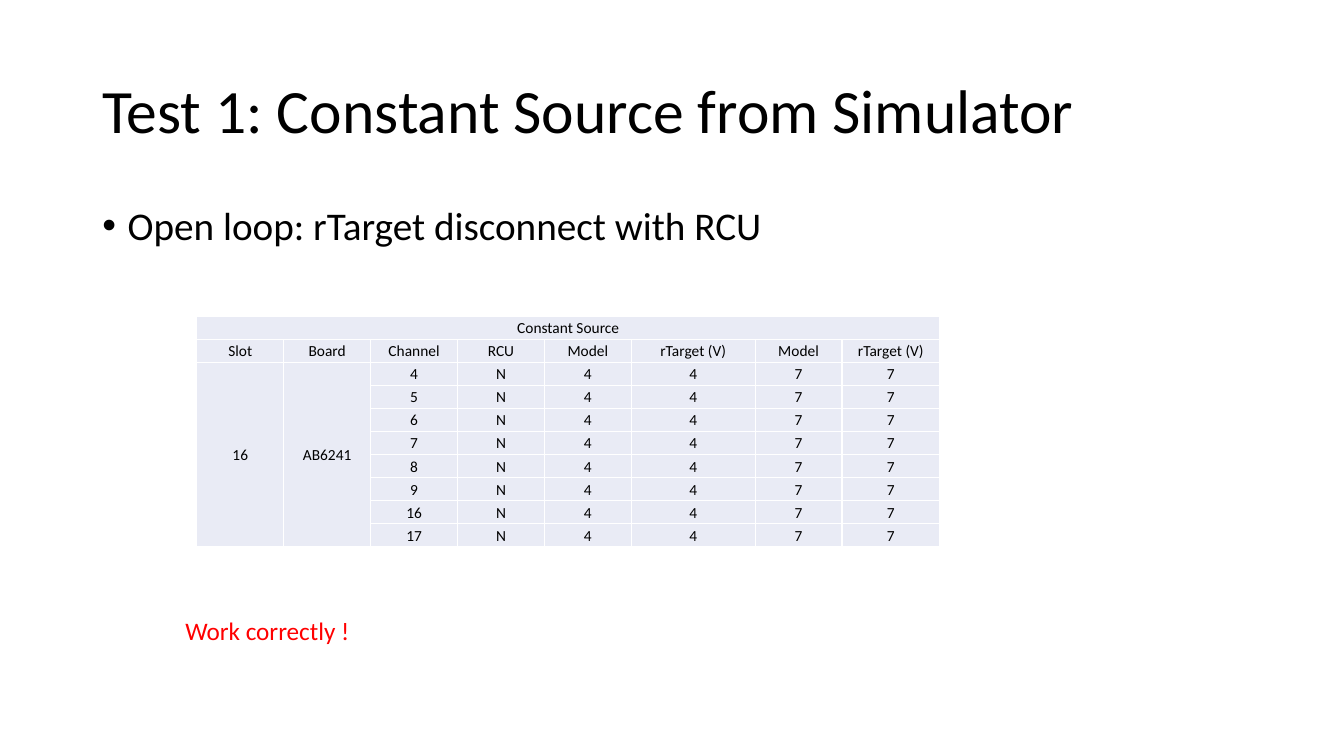
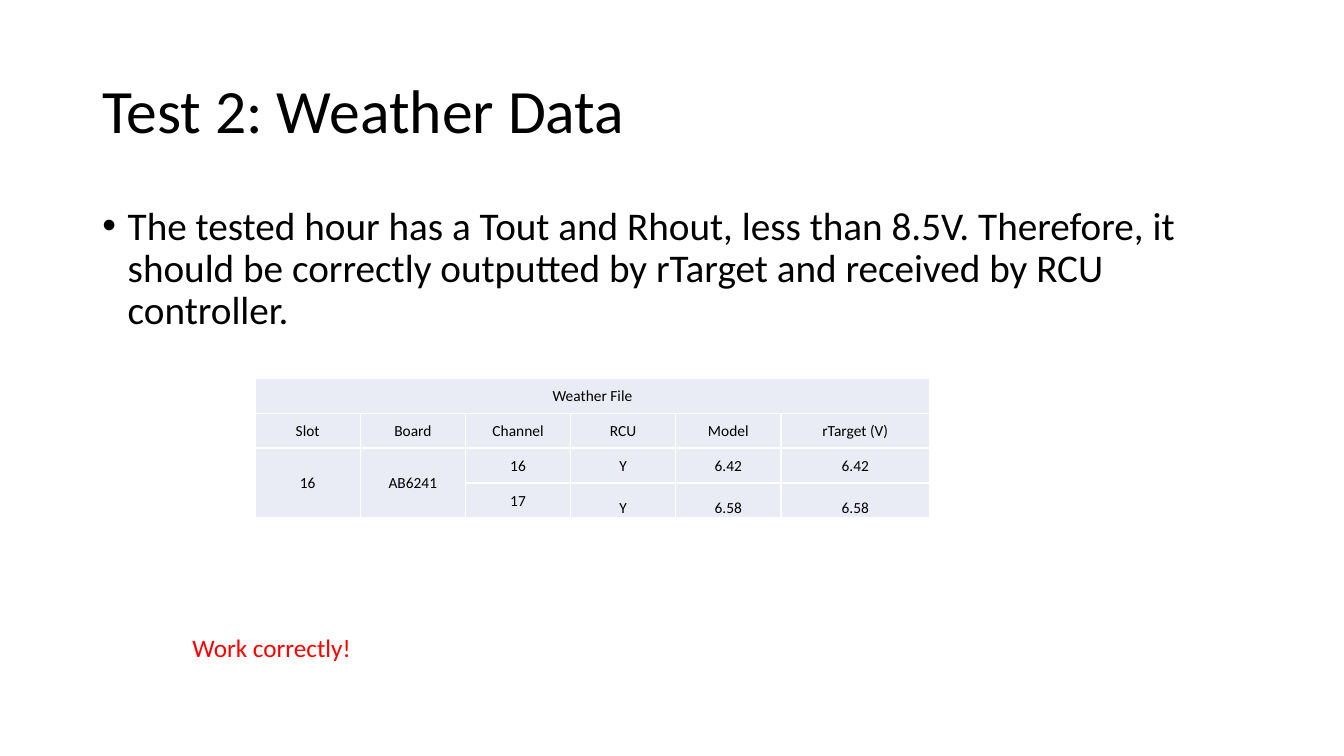
"""Builds two slides reporting the voltage tests of the output board."""
import lxml.etree
import pptx
import pptx.dml.color
import pptx.enum.text
import pptx.oxml
import pptx.oxml.ns
import pptx.util

Cm = pptx.util.Cm
Pt = pptx.util.Pt
ANCHOR = pptx.enum.text.MSO_ANCHOR
qn = pptx.oxml.ns.qn

FONT = "Calibri"
BLACK, RED, WHITE, CELL_FILL = "000000", "FF0000", "FFFFFF", "E9EBF5"


def color(hex_value):
    return pptx.dml.color.RGBColor.from_string(hex_value)


def add_run(paragraph, text, size, hex_value=BLACK):
    run = paragraph.add_run()
    run.text = text
    run.font.name = FONT
    run.font.size = Pt(size)
    run.font.color.rgb = color(hex_value)


channels = ["4", "5", "6", "7", "8", "9", "16", "17"]
tests = [
    {
        "title": "Test 1: Constant Source from Simulator",
        "bullet": "Open loop: rTarget disconnect with RCU",
        "body_height": 9.25,
        "caption": "Constant Source",
        "headings": ["Slot", "Board", "Channel", "RCU", "Model", "rTarget (V)", "Model", "rTarget (V)"],
        "readings": [[channel, "N", "4", "4", "7", "7"] for channel in channels],
        "table_at": (4.96, 7.98),
        "widths": [2.19] * 5 + [3.12, 2.19, 2.46],
        "row_height": 0.58,
        "low_cells": [],
        "verdict": "Work correctly !",
        "verdict_at": (4.42, 15.39, 5.36),
    },
    {
        "title": "Test 2: Weather Data",
        "bullet": "The tested hour has a Tout and Rhout, less than 8.5V. Therefore, it should be "
                  "correctly outputted by rTarget and received by RCU controller.",
        "body_height": 12.09,
        "caption": "Weather File",
        "headings": ["Slot", "Board", "Channel", "RCU", "Model", "rTarget (V)"],
        "readings": [["16", "Y", "6.42", "6.42"], ["17", "Y", "6.58", "6.58"]],
        "table_at": (6.43, 9.53),
        "widths": [2.65] * 5 + [3.75],
        "row_height": 0.88,
        "low_cells": [(3, 3), (3, 4), (3, 5)],
        "verdict": "Work correctly!",
        "verdict_at": (4.6, 15.82, 10.46),
    },
]

presentation = pptx.Presentation()
presentation.slide_width = Cm(33.87)
presentation.slide_height = Cm(19.05)

for test in tests:
    slide = presentation.slides.add_slide(presentation.slide_layouts[6])

    title = slide.shapes.add_textbox(Cm(2.33), Cm(1.01), Cm(29.21), Cm(3.68)).text_frame
    title.word_wrap = True
    title.vertical_anchor = ANCHOR.MIDDLE
    title.paragraphs[0].line_spacing = 0.9
    add_run(title.paragraphs[0], test["title"], 44)

    body = slide.shapes.add_textbox(Cm(2.33), Cm(5.07), Cm(29.21), Cm(test["body_height"])).text_frame
    body.word_wrap = True
    paragraph = body.paragraphs[0]
    paragraph.line_spacing = 0.9
    paragraph.space_before = Pt(10)
    add_run(paragraph, test["bullet"], 28)
    properties = paragraph._p.get_or_add_pPr()
    properties.set("marL", str(Cm(0.64)))
    properties.set("indent", str(-Cm(0.64)))
    lxml.etree.SubElement(properties, qn("a:buFont")).set("typeface", "Arial")
    lxml.etree.SubElement(properties, qn("a:buChar")).set("char", "•")

    widths = test["widths"]
    column_count = len(widths)
    rows = [[test["caption"]] + [""] * (column_count - 1), test["headings"]]
    for index, reading in enumerate(test["readings"]):
        rows.append((["16", "AB6241"] if index == 0 else ["", ""]) + reading)
    left, top = test["table_at"]
    table = slide.shapes.add_table(
        len(rows), column_count, Cm(left), Cm(top),
        Cm(sum(widths)), Cm(test["row_height"] * len(rows))).table
    table.first_row = False
    table.horz_banding = False
    for column, width in zip(table.columns, widths):
        column.width = Cm(width)
    for row in table.rows:
        row.height = Cm(test["row_height"])

    for row_index, texts in enumerate(rows):
        for column_index, text in enumerate(texts):
            cell = table.cell(row_index, column_index)
            cell.margin_left = cell.margin_right = cell.margin_top = Cm(0.02)
            cell.margin_bottom = 0
            low = (row_index, column_index) in test["low_cells"]
            cell.vertical_anchor = ANCHOR.BOTTOM if low else ANCHOR.MIDDLE
            for side in ("a:lnL", "a:lnR", "a:lnT", "a:lnB"):
                line = lxml.etree.SubElement(cell._tc.get_or_add_tcPr(), qn(side), w=str(Pt(1)))
                line_fill = lxml.etree.SubElement(line, qn("a:solidFill"))
                lxml.etree.SubElement(line_fill, qn("a:srgbClr"), val=WHITE)
            cell.fill.solid()
            cell.fill.fore_color.rgb = color(CELL_FILL)
            if text:
                paragraph = cell.text_frame.paragraphs[0]
                paragraph.alignment = pptx.enum.text.PP_ALIGN.CENTER
                add_run(paragraph, text, 11)

    table.cell(0, 0).merge(table.cell(0, column_count - 1))
    for column_index in range(2):
        table.cell(2, column_index).merge(table.cell(len(rows) - 1, column_index))

    left, top, width = test["verdict_at"]
    verdict = slide.shapes.add_textbox(Cm(left), Cm(top), Cm(width), Cm(1.03)).text_frame
    verdict.word_wrap = True
    add_run(verdict.paragraphs[0], test["verdict"], 18, RED)

presentation.save("out.pptx")
